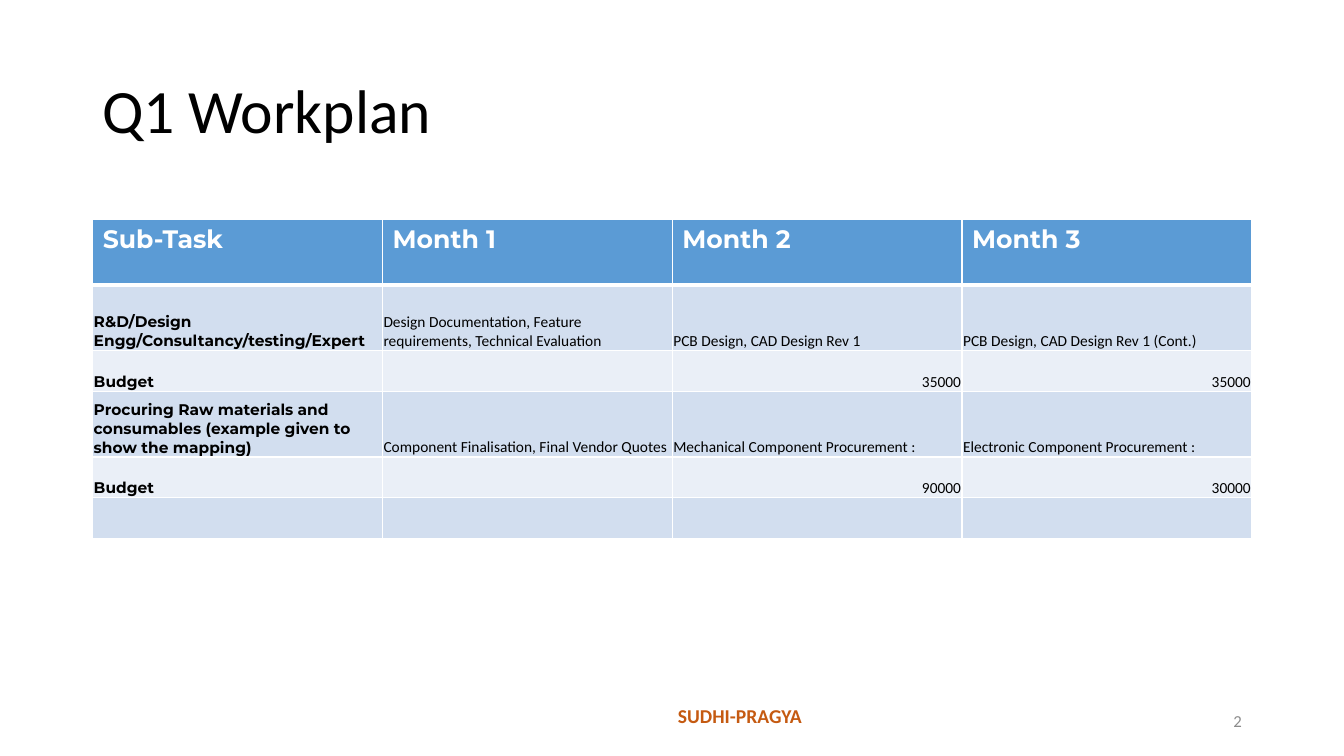
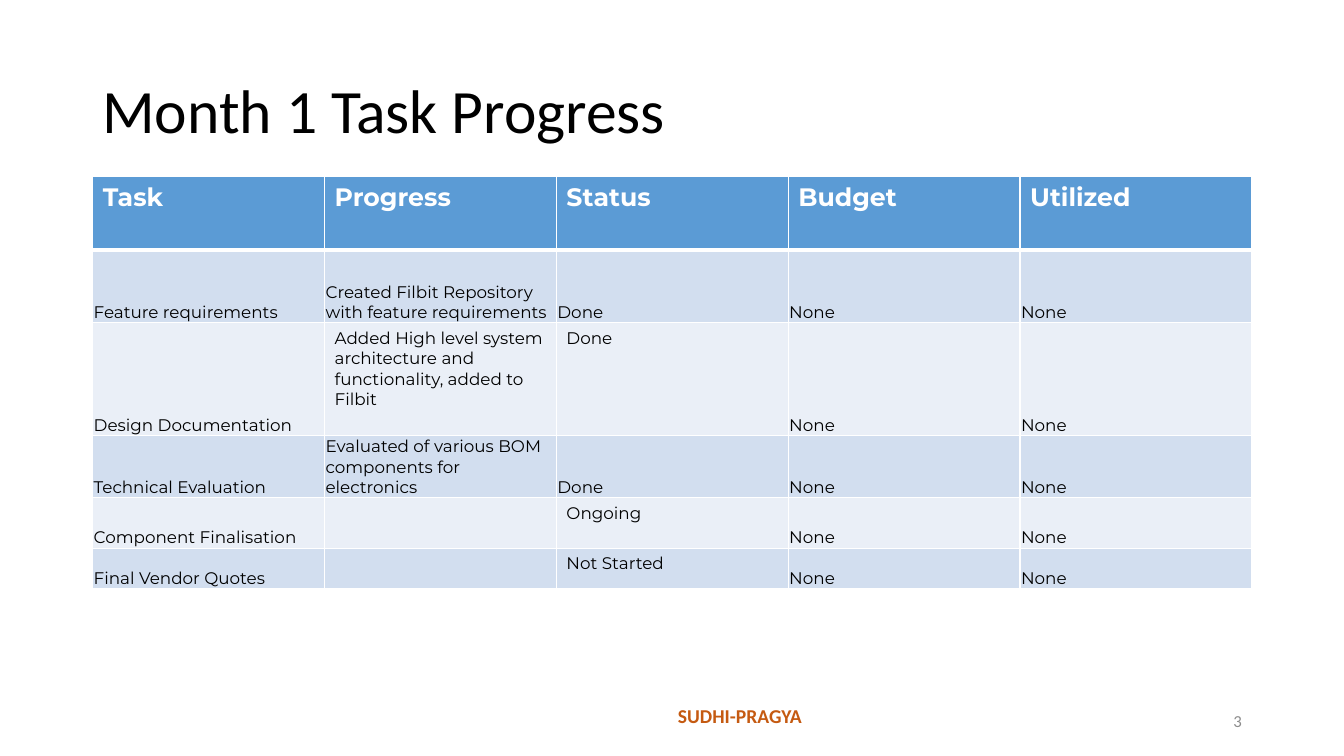
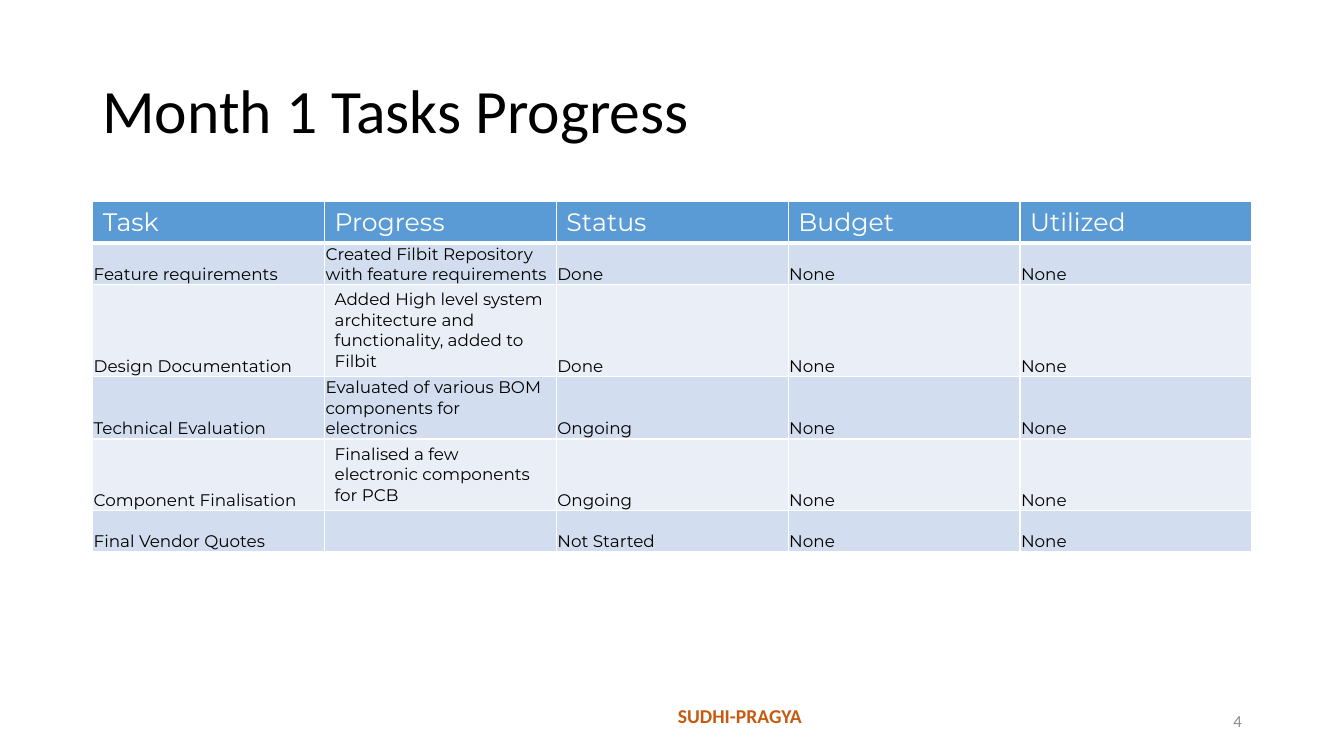
"""Build three workplan slides with a title, a table and a footer each."""
from lxml.etree import SubElement
from pptx import Presentation
from pptx.dml.color import RGBColor
from pptx.enum.text import MSO_ANCHOR, PP_ALIGN
from pptx.oxml.ns import qn
from pptx.util import Pt

COLORS = {
    "white": "FFFFFF",
    "black": "000000",
    "header": "5B9BD5",
    "odd": "D2DEEF",
    "even": "EAEFF7",
    "footer": "C55A11",
    "number": "8C8C8C",
}
TABLE_LEFT, TABLE_WIDTH = 66.24, 828
TASK_HEADER = ["Task", "Progress", "Status", "Budget", "Utilized"]
REPOSITORY = "Created Filbit Repository with feature requirements"
ARCHITECTURE = "Added High level system architecture and functionality, added to Filbit"
EVALUATION = "Evaluated of various BOM components for electronics"

SLIDES = [
    {
        "title": "Q1 Workplan",
        "top": 156.8,
        "heights": [46.8, 46.8, 29.2, 46.8, 29.2, 29.2],
        "header_bold": True,
        "label_bold": True,
        "body_font": "Calibri",
        "body_size": 11,
        "top_cells": [],
        "rows": [
            ["Sub-Task", "Month 1", "Month 2", "Month 3"],
            ["R&D/Design Engg/Consultancy/testing/Expert",
             "Design Documentation, Feature requirements, Technical Evaluation",
             "PCB Design, CAD Design Rev 1", "PCB Design, CAD Design Rev 1 (Cont.)"],
            ["Budget", "", "35000", "35000"],
            ["Procuring Raw materials and consumables (example given to show the mapping)",
             "Component Finalisation, Final Vendor Quotes",
             "Mechanical Component Procurement :", "Electronic Component Procurement :"],
            ["Budget", "", "90000", "30000"],
            ["", "", "", ""],
        ],
    },
    {
        "title": "Month 1 Task Progress",
        "top": 126.2,
        "heights": [52.2, 52.2, 80.4, 44.6, 36, 29.2],
        "header_bold": True,
        "label_bold": False,
        "body_font": "Montserrat",
        "body_size": 12,
        "top_cells": [(2, 1), (2, 2), (4, 2), (5, 2)],
        "rows": [
            TASK_HEADER,
            ["Feature requirements", REPOSITORY, "Done", "None", "None"],
            ["Design Documentation", ARCHITECTURE, "Done", "None", "None"],
            ["Technical Evaluation", EVALUATION, "Done", "None", "None"],
            ["Component Finalisation", "", "Ongoing", "None", "None"],
            ["Final Vendor Quotes", "", "Not Started", "None", "None"],
        ],
    },
    {
        "title": "Month 1 Tasks Progress",
        "top": 144,
        "heights": [29.4, 29.8, 65.8, 44.6, 51.2, 29.4],
        "header_bold": False,
        "label_bold": False,
        "body_font": "Montserrat",
        "body_size": 12,
        "top_cells": [(2, 1), (4, 1)],
        "rows": [
            TASK_HEADER,
            ["Feature requirements", REPOSITORY, "Done", "None", "None"],
            ["Design Documentation", ARCHITECTURE, "Done", "None", "None"],
            ["Technical Evaluation", EVALUATION, "Ongoing", "None", "None"],
            ["Component Finalisation", "Finalised a few electronic components for PCB",
             "Ongoing", "None", "None"],
            ["Final Vendor Quotes", "", "Not Started", "None", "None"],
        ],
    },
]


def style(para, text, font, size, color, bold=False, align=PP_ALIGN.LEFT):
    para.text = text
    para.alignment = align
    para.font.name = font
    para.font.size = Pt(size)
    para.font.bold = bold
    para.font.color.rgb = RGBColor.from_string(COLORS[color])


def add_text(page, left, top, width, height, *text_style):
    box = page.shapes.add_textbox(Pt(left), Pt(top), Pt(width), Pt(height))
    box.text_frame.word_wrap = True
    box.text_frame.vertical_anchor = MSO_ANCHOR.MIDDLE
    para = box.text_frame.paragraphs[0]
    style(para, *text_style)
    return para


deck = Presentation()
deck.slide_width, deck.slide_height = Pt(960), Pt(540)

for number, content in enumerate(SLIDES, start=2):
    page = deck.slides.add_slide(deck.slide_layouts[6])
    title = add_text(page, 66, 28.8, 828, 104.4, content["title"], "Calibri", 44, "black")
    title.line_spacing = 0.9

    rows, heights = content["rows"], content["heights"]
    column_count = len(rows[0])
    table = page.shapes.add_table(
        len(rows), column_count, Pt(TABLE_LEFT), Pt(content["top"]),
        Pt(TABLE_WIDTH), Pt(sum(heights))).table
    table.first_row = table.horz_banding = False
    for column in table.columns:
        column.width = Pt(TABLE_WIDTH / column_count)

    for row, texts in enumerate(rows):
        table.rows[row].height = Pt(heights[row])
        for column, text in enumerate(texts):
            cell = table.cell(row, column)
            properties = cell._tc.get_or_add_tcPr()
            for side in ("L", "R", "T", "B"):
                under_header = (row, side) in ((0, "B"), (1, "T"))
                line = SubElement(properties, qn(f"a:ln{side}"), w=str(Pt(3 if under_header else 1)))
                fill = SubElement(line, qn("a:solidFill"))
                SubElement(fill, qn("a:srgbClr"), val=COLORS["white"])
            band = "header" if row == 0 else "odd" if row % 2 else "even"
            cell.fill.solid()
            cell.fill.fore_color.rgb = RGBColor.from_string(COLORS[band])
            if not text:
                continue
            para = cell.text_frame.paragraphs[0]
            if row == 0:
                style(para, text, "Montserrat", 18, "white", content["header_bold"])
                continue
            label = content["label_bold"] and column == 0
            style(para, text, "Montserrat" if label else content["body_font"],
                  content["body_size"], "black", label,
                  PP_ALIGN.RIGHT if text.isdigit() else PP_ALIGN.LEFT)
            if (row, column) not in content["top_cells"]:
                cell.vertical_anchor = MSO_ANCHOR.BOTTOM
                cell.margin_left = cell.margin_right = cell.margin_top = Pt(0.72)
                cell.margin_bottom = Pt(0)

    add_text(page, 259.2, 496.8, 538.6, 28.8, "SUDHI-PRAGYA", "Calibri", 14, "footer",
             True, PP_ALIGN.CENTER)
    add_text(page, 846, 500.4, 48.2, 28.8, str(number), "Calibri", 12, "number",
             False, PP_ALIGN.RIGHT)

deck.save("out.pptx")
